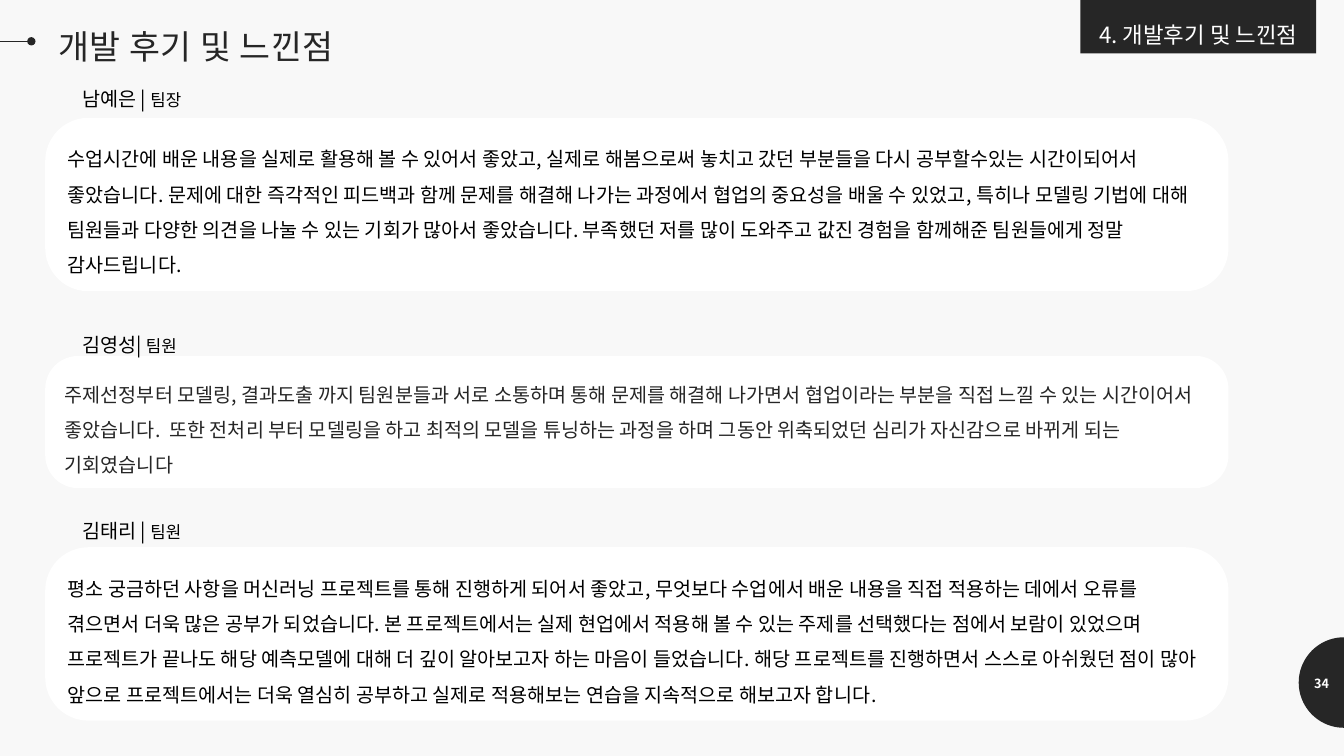
"""Build the slide of team reviews with python-pptx."""
import math
import pptx
import pptx.util
import pptx.dml.color
import pptx.enum.shapes
import pptx.enum.text
import pptx.oxml
import pptx.oxml.ns

Cm = pptx.util.Cm
Pt = pptx.util.Pt
RGBColor = pptx.dml.color.RGBColor
SHAPE = pptx.enum.shapes.MSO_SHAPE
ANCHOR = pptx.enum.text.MSO_ANCHOR
ALIGN = pptx.enum.text.PP_ALIGN

DARK = RGBColor(0x26, 0x26, 0x26)
BLACK = RGBColor(0, 0, 0)
WHITE = RGBColor(0xFF, 0xFF, 0xFF)
PALE = RGBColor(0xF8, 0xF8, 0xF8)
FONT = "Noto Sans CJK KR"
WIDTH, HEIGHT = 33.87, 19.05
WIDE = (0.3, 0.3, 0.3, 0.25)
SLIM = (0.25, 0.13, 0.25, 0.13)

REVIEWS = [
    ("남예은 | ", "팀장", 1.68, 2.97, 4.37, BLACK,
     "수업시간에 배운 내용을 실제로 활용해 볼 수 있어서 좋았고, 실제로 해봄으로써 놓치고 갔던 부분들을 "
     "다시 공부할수있는 시간이되어서 좋았습니다. 문제에 대한 즉각적인 피드백과 함께 문제를 해결해 나가는 "
     "과정에서 협업의 중요성을 배울 수 있었고, 특히나 모델링 기법에 대해 팀원들과 다양한 의견을 나눌 수 있는 "
     "기회가 많아서 좋았습니다. 부족했던 저를 많이 도와주고 값진 경험을 함께해준 팀원들에게 정말 감사드립니다."),
    ("김영성| ", "팀원", 7.87, 8.97, 3.33, DARK,
     "주제선정부터 모델링, 결과도출 까지 팀원분들과 서로 소통하며 통해 문제를 해결해 나가면서 협업이라는 "
     "부분을 직접 느낄 수 있는 시간이어서 좋았습니다.  또한 전처리 부터 모델링을 하고 최적의 모델을 튜닝하는 "
     "과정을 하며 그동안 위축되었던 심리가 자신감으로 바뀌게 되는 기회였습니다"),
    ("김태리 | ", "팀원", 12.55, 13.79, 4.37, BLACK,
     "평소 궁금하던 사항을 머신러닝 프로젝트를 통해 진행하게 되어서 좋았고, 무엇보다 수업에서 배운 내용을 "
     "직접 적용하는 데에서 오류를 겪으면서 더욱 많은 공부가 되었습니다. 본 프로젝트에서는 실제 현업에서 "
     "적용해 볼 수 있는 주제를 선택했다는 점에서 보람이 있었으며 프로젝트가 끝나도 해당 예측모델에 대해 더 "
     "깊이 알아보고자 하는 마음이 들었습니다. 해당 프로젝트를 진행하면서 스스로 아쉬웠던 점이 많아 앞으로 "
     "프로젝트에서는 더욱 열심히 공부하고 실제로 적용해보는 연습을 지속적으로 해보고자 합니다."),
]


def add_xml(parent, tag, **attrs):
    """Append a drawing element with the given attributes."""
    node = pptx.oxml.parse_xml(f"<a:{tag} {pptx.oxml.ns.nsdecls('a')}/>")
    for name, value in attrs.items():
        node.set(name, value)
    parent.append(node)
    return node


def paint(shape, fill):
    """Give a shape a flat fill, or none, without line or shadow."""
    shape.shadow.inherit = False
    shape.line.fill.background()
    if fill is None:
        shape.fill.background()
    else:
        shape.fill.solid()
        shape.fill.fore_color.rgb = fill


def write(shape, runs, color, anchor=ANCHOR.TOP, align=ALIGN.LEFT,
          pitch=1.0, inset=SLIM, bold=False):
    """Fill a shape with one paragraph of (text, size) runs."""
    frame = shape.text_frame
    frame.auto_size = pptx.enum.text.MSO_AUTO_SIZE.NONE
    frame.word_wrap = True
    frame.vertical_anchor = anchor
    (frame.margin_left, frame.margin_top,
     frame.margin_right, frame.margin_bottom) = map(Cm, inset)
    para = frame.paragraphs[0]
    para.alignment = align
    para.line_spacing = pitch
    for text, size in runs:
        run = para.add_run()
        run.text = text
        run.font.size = Pt(size)
        run.font.bold = bold
        run.font.name = FONT
        run.font.color.rgb = color
        add_xml(run.font._element, "ea", typeface=FONT)


def add_box(slide, kind, place, fill):
    """Add a preset shape at a place given in centimetres."""
    box = slide.shapes.add_shape(kind, *map(Cm, place))
    paint(box, fill)
    if kind == SHAPE.ROUNDED_RECTANGLE:
        box.adjustments[0] = 0.249
    return box


def add_title(slide):
    """Place the heading and the dotted line leading to it."""
    title = slide.shapes.title
    title.left, title.top, title.width, title.height = map(
        Cm, (1.17, 0.25, 10.62, 1.57))
    write(title, [("개발 후기 및 느낀점", 24)], DARK, pitch=1.1, inset=WIDE)
    title.text_frame.paragraphs[0].runs[0].font._element.set("spc", "40")
    line = slide.shapes.add_connector(
        pptx.enum.shapes.MSO_CONNECTOR.STRAIGHT, Cm(0), Cm(1.04), Cm(0.79), Cm(1.04))
    line.line.color.rgb = DARK
    line.line.width = Pt(0.5)
    add_xml(line.line._get_or_add_ln(), "tailEnd", type="oval")
    add_xml(line._element.spPr, "effectLst")


def add_page(slide):
    """Draw the half disc at the right edge with the page number."""
    mid, radius, steps = 17.2, 1.14, 48
    points = []
    for step in range(steps + 1):
        turn = math.pi * step / steps
        points.append((Cm(WIDTH - radius * math.sin(turn)),
                       Cm(mid - radius * math.cos(turn))))
    build = slide.shapes.build_freeform(*points[0])
    build.add_line_segments(points[1:], close=True)
    paint(build.convert_to_shape(), DARK)
    label = slide.shapes.add_textbox(*map(Cm, (32.74, 16.69, 1.13, 1.02)))
    write(label, [("34", 9)], WHITE, ANCHOR.MIDDLE, ALIGN.CENTER,
          inset=WIDE, bold=True)


def add_review(slide, name, role, label_top, card_top, height, color, text):
    """Add one member's card and the name above it."""
    card = add_box(slide, SHAPE.ROUNDED_RECTANGLE,
                   (1.14, card_top, 29.82, height), WHITE)
    write(card, [(text, 14)], color, pitch=1.5)
    label = add_box(slide, SHAPE.ROUNDED_RECTANGLE,
                    (1.73, label_top, 3.78, 1.22), None)
    write(label, [(name, 14), (role, 12)], BLACK, pitch=1.5)


def main():
    """Build and save the slide."""
    deck = pptx.Presentation()
    deck.slide_width, deck.slide_height = Cm(WIDTH), Cm(HEIGHT)
    slide = deck.slides.add_slide(deck.slide_layouts[5])
    slide.background.fill.solid()
    slide.background.fill.fore_color.rgb = PALE
    add_page(slide)
    add_title(slide)
    tag = add_box(slide, SHAPE.RECTANGLE, (27.23, 0, 5.94, 1.35), DARK)
    write(tag, [("4. 개발후기 및 느낀점", 16)], WHITE, ANCHOR.BOTTOM, ALIGN.CENTER)
    for review in REVIEWS:
        add_review(slide, *review)
    deck.save("out.pptx")


if __name__ == "__main__":
    main()
